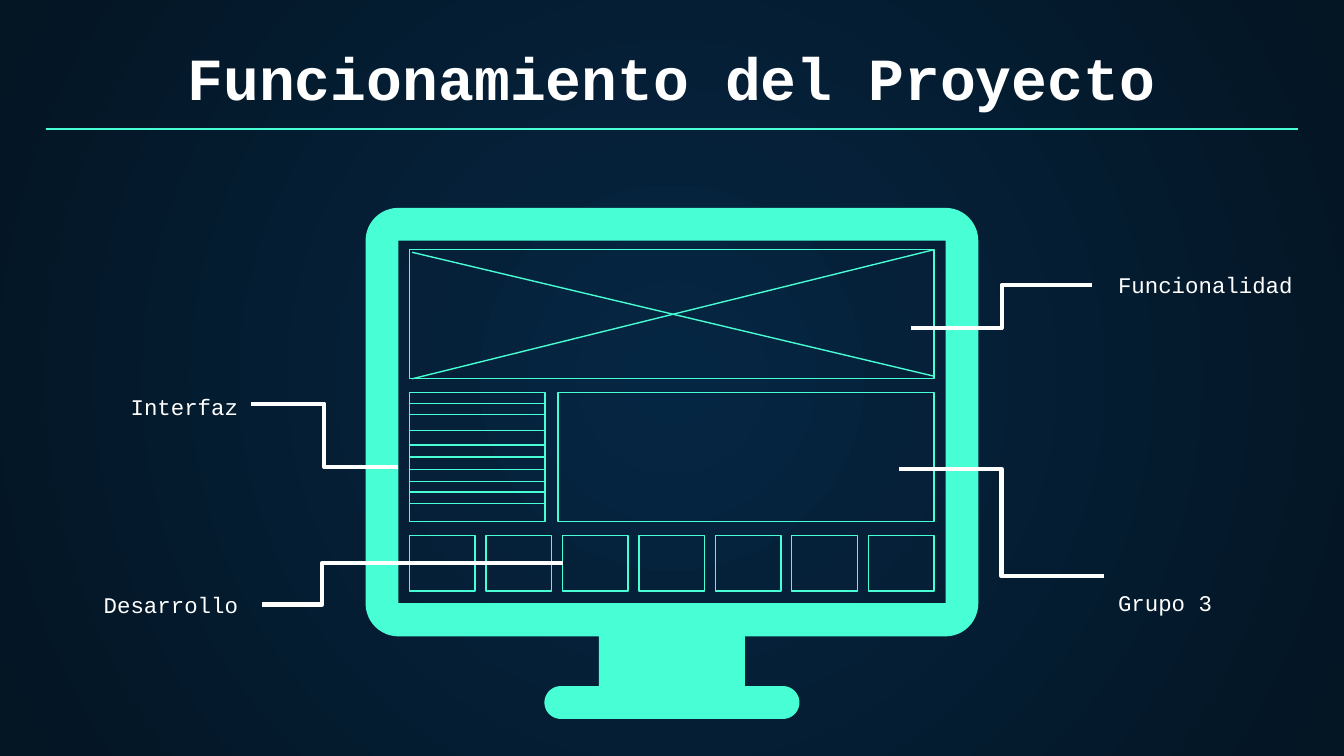
import math

import pptx
import pptx.dml.color
import pptx.enum.shapes
import pptx.enum.text
import pptx.oxml
import pptx.oxml.ns
import pptx.util

Cm = pptx.util.Cm
ALIGN = pptx.enum.text.PP_ALIGN
ANCHOR = pptx.enum.text.MSO_ANCHOR
CONNECTOR = pptx.enum.shapes.MSO_CONNECTOR

MINT, WHITE = "48FFD5", "FFFFFF"
BACKGROUND = ["052643", "041523"]  # centre, edge
FONT = "Courier New"

# All lengths below are centimetres.
WIDTH, HEIGHT = 25.4, 14.29
CENTRE = WIDTH / 2
MARGIN = 0.86

TITLE = "Funcionamiento del Proyecto"
TITLE_RULE_Y = 2.44

# text, side, top, line spacing, leader start, leader end, bend
CALLOUTS = [
    ("Funcionalidad", "right", 4.87, 1, (17.22, 6.2), (20.64, 5.39), 0.5),
    ("Interfaz", "left", 7.18, 1, (4.74, 7.63), (7.52, 8.83), 0.5),
    ("Grupo 3", "right", 10.38, 2, (16.99, 8.86), (20.87, 10.89), 0.5),
    ("Desarrollo", "left", 10.93, 1, (4.95, 11.43), (10.64, 10.64), 0.2),
]
CALLOUT_WIDTH, CALLOUT_HEIGHT = 3.89, 0.53
CALLOUT_LEFT = {"left": MARGIN, "right": 20.88}

# Page drawn on the screen
PAGE_LEFT, PAGE_RIGHT = 7.74, 17.65
HERO_TOP, BODY_TOP, PANEL_HEIGHT = 4.72, 7.42, 2.44
SIDEBAR_WIDTH, CONTENT_LEFT = 2.56, 10.55
MENU_LINES = [7.63, 7.84, 8.14, 8.41, 8.64, 8.87, 9.1, 9.3, 9.52]
TILES, TILE_TOP, TILE_WIDTH, TILE_HEIGHT = 7, 10.12, 1.24, 1.05

# Monitor
CASE_HALF, CASE_TOP, CASE_BOTTOM, CASE_RADIUS = 5.79, 3.93, 12.03, 0.62
SCREEN_HALF, SCREEN_TOP, SCREEN_BOTTOM = 5.17, 4.55, 11.4
NECK_HALF = 1.38
FOOT_HALF, FOOT_TOP, FOOT_BOTTOM = 2.41, 12.97, 13.59


def rgb(color):
    return pptx.dml.color.RGBColor.from_string(color)


def paint_background(slide):
    """Radial gradient from the slide centre to its edges."""
    fill = slide.background.fill
    fill.gradient()
    for stop, color in zip(fill.gradient_stops, BACKGROUND):
        stop.color.rgb = rgb(color)
    linear = slide.element.find(".//" + pptx.oxml.ns.qn("a:lin"))
    radial = pptx.oxml.parse_xml(
        f'<a:path {pptx.oxml.ns.nsdecls("a")} path="circle">'
        '<a:fillToRect l="50000" t="50000" r="50000" b="50000"/></a:path>')
    linear.getparent().replace(linear, radial)


def add_text(slide, text, left, top, width, height, size, align,
             anchor=ANCHOR.TOP, bold=False, spacing=1):
    box = slide.shapes.add_textbox(Cm(left), Cm(top), Cm(width), Cm(height))
    frame = box.text_frame
    frame.word_wrap = True
    frame.vertical_anchor = anchor
    frame.margin_left = frame.margin_right = Cm(0.25)
    frame.margin_top = frame.margin_bottom = Cm(0.25)
    paragraph = frame.paragraphs[0]
    paragraph.text = text
    paragraph.alignment = align
    paragraph.line_spacing = float(spacing)
    paragraph.font.name = FONT
    paragraph.font.size = pptx.util.Pt(size)
    paragraph.font.bold = bold
    paragraph.font.color.rgb = rgb(WHITE)


def add_line(slide, start, end, color=MINT, weight=0.75, bend=None):
    """Straight line, or an elbow when bend gives the turn as a share of the width."""
    kind = CONNECTOR.STRAIGHT if bend is None else CONNECTOR.ELBOW
    line = slide.shapes.add_connector(kind, *map(Cm, start + end))
    line.line.color.rgb = rgb(color)
    line.line.width = pptx.util.Pt(weight)
    properties = line.element.spPr
    properties.append(pptx.oxml.parse_xml(
        f'<a:effectLst {pptx.oxml.ns.nsdecls("a")}/>'))
    if bend is not None:
        adjustments = properties.find(".//" + pptx.oxml.ns.qn("a:avLst"))
        adjustments.append(pptx.oxml.parse_xml(
            f'<a:gd {pptx.oxml.ns.nsdecls("a")} name="adj1" '
            f'fmla="val {round(bend * 100000)}"/>'))


def add_panel(slide, left, top, width, height):
    panel = slide.shapes.add_shape(
        pptx.enum.shapes.MSO_SHAPE.RECTANGLE,
        Cm(left), Cm(top), Cm(width), Cm(height))
    panel.shadow.inherit = False
    panel.fill.background()
    panel.line.color.rgb = rgb(MINT)
    panel.line.width = pptx.util.Pt(0.75)


def arc(x, y, radius, first, steps=12):
    """Points of a quarter circle, clockwise from the angle first."""
    angles = [math.radians(first + 90 * i / steps) for i in range(steps + 1)]
    return [(x + radius * math.cos(a), y + radius * math.sin(a)) for a in angles]


def add_monitor(slide):
    case_x = CASE_HALF - CASE_RADIUS
    foot_radius = (FOOT_BOTTOM - FOOT_TOP) / 2
    foot_x, foot_y = FOOT_HALF - foot_radius, FOOT_TOP + foot_radius
    right_half = [
        *arc(case_x, CASE_TOP + CASE_RADIUS, CASE_RADIUS, -90),
        *arc(case_x, CASE_BOTTOM - CASE_RADIUS, CASE_RADIUS, 0),
        (NECK_HALF, CASE_BOTTOM), (NECK_HALF, FOOT_TOP),
        *arc(foot_x, foot_y, foot_radius, -90),
        *arc(foot_x, foot_y, foot_radius, 0),
    ]
    outline = right_half + [(-x, y) for x, y in reversed(right_half)]
    screen = [(-SCREEN_HALF, SCREEN_TOP), (-SCREEN_HALF, SCREEN_BOTTOM),
              (SCREEN_HALF, SCREEN_BOTTOM), (SCREEN_HALF, SCREEN_TOP)]

    outline, screen = ([(Cm(CENTRE + x), Cm(y)) for x, y in points]
                       for points in (outline, screen))
    builder = slide.shapes.build_freeform(*outline[0])
    builder.add_line_segments(outline[1:], close=True)
    builder.move_to(*screen[0])
    builder.add_line_segments(screen[1:], close=True)
    monitor = builder.convert_to_shape()
    monitor.shadow.inherit = False
    monitor.fill.solid()
    monitor.fill.fore_color.rgb = rgb(MINT)
    monitor.line.fill.background()


def add_page(slide):
    hero_bottom = HERO_TOP + PANEL_HEIGHT
    page_width = PAGE_RIGHT - PAGE_LEFT
    add_panel(slide, PAGE_LEFT, HERO_TOP, page_width, PANEL_HEIGHT)
    add_panel(slide, PAGE_LEFT, BODY_TOP, SIDEBAR_WIDTH, PANEL_HEIGHT)
    add_panel(slide, CONTENT_LEFT, BODY_TOP, PAGE_RIGHT - CONTENT_LEFT, PANEL_HEIGHT)
    pitch = (page_width - TILE_WIDTH) / (TILES - 1)
    for i in range(TILES):
        add_panel(slide, PAGE_LEFT + i * pitch, TILE_TOP, TILE_WIDTH, TILE_HEIGHT)
    add_line(slide, (PAGE_LEFT + 0.05, HERO_TOP + 0.05), (PAGE_RIGHT, hero_bottom - 0.05))
    add_line(slide, (PAGE_LEFT + 0.05, hero_bottom), (PAGE_RIGHT, HERO_TOP))
    for y in MENU_LINES:
        add_line(slide, (PAGE_LEFT, y), (PAGE_LEFT + SIDEBAR_WIDTH, y))


def main():
    deck = pptx.Presentation()
    deck.slide_width, deck.slide_height = Cm(WIDTH), Cm(HEIGHT)
    slide = deck.slides.add_slide(deck.slide_layouts[6])
    paint_background(slide)
    add_text(slide, TITLE, MARGIN, 0.69, WIDTH - 2 * MARGIN, 1.68, 32,
             ALIGN.CENTER, ANCHOR.BOTTOM, bold=True)
    add_line(slide, (MARGIN, TITLE_RULE_Y), (WIDTH - MARGIN, TITLE_RULE_Y))
    add_monitor(slide)
    add_page(slide)
    for text, side, top, spacing, start, end, bend in CALLOUTS:
        align = ALIGN.RIGHT if side == "left" else ALIGN.LEFT
        add_text(slide, text, CALLOUT_LEFT[side], top, CALLOUT_WIDTH,
                 CALLOUT_HEIGHT, 12, align, spacing=spacing)
        add_line(slide, start, end, WHITE, 2.25, bend)
    deck.save("out.pptx")


if __name__ == "__main__":
    main()
